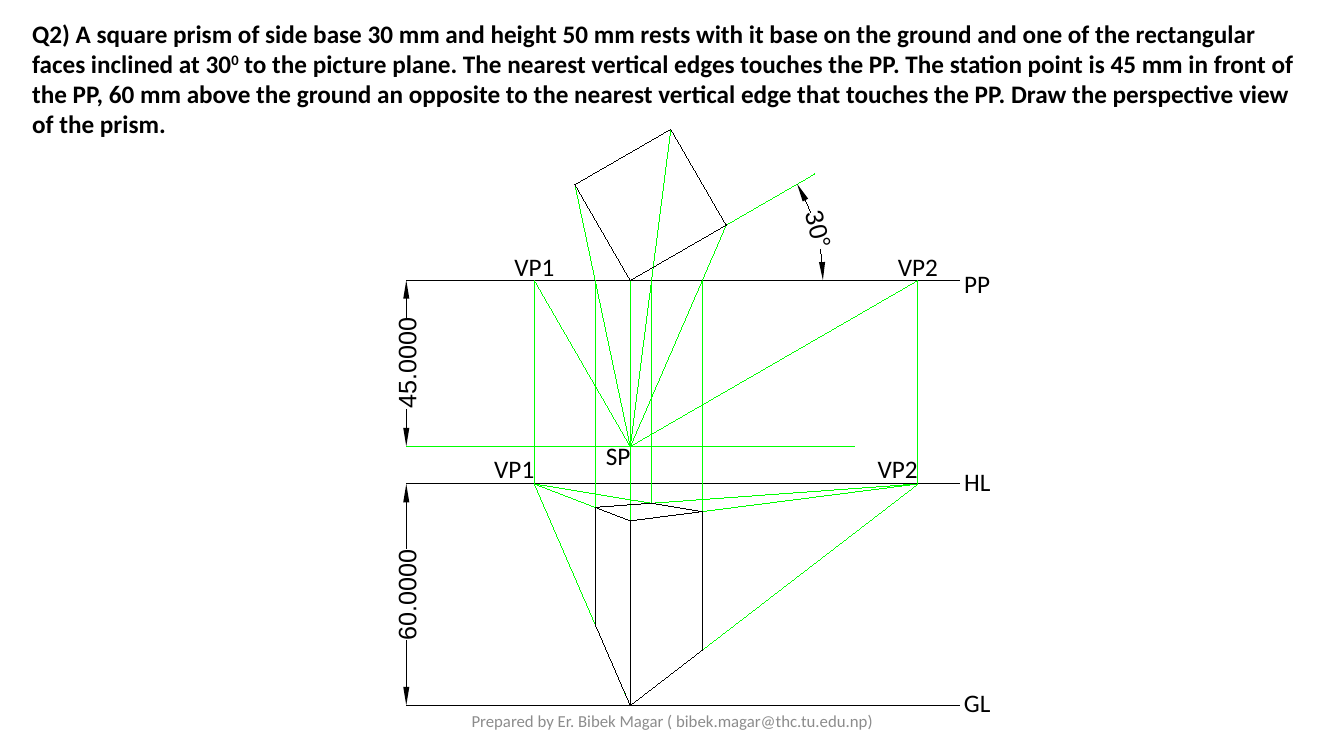
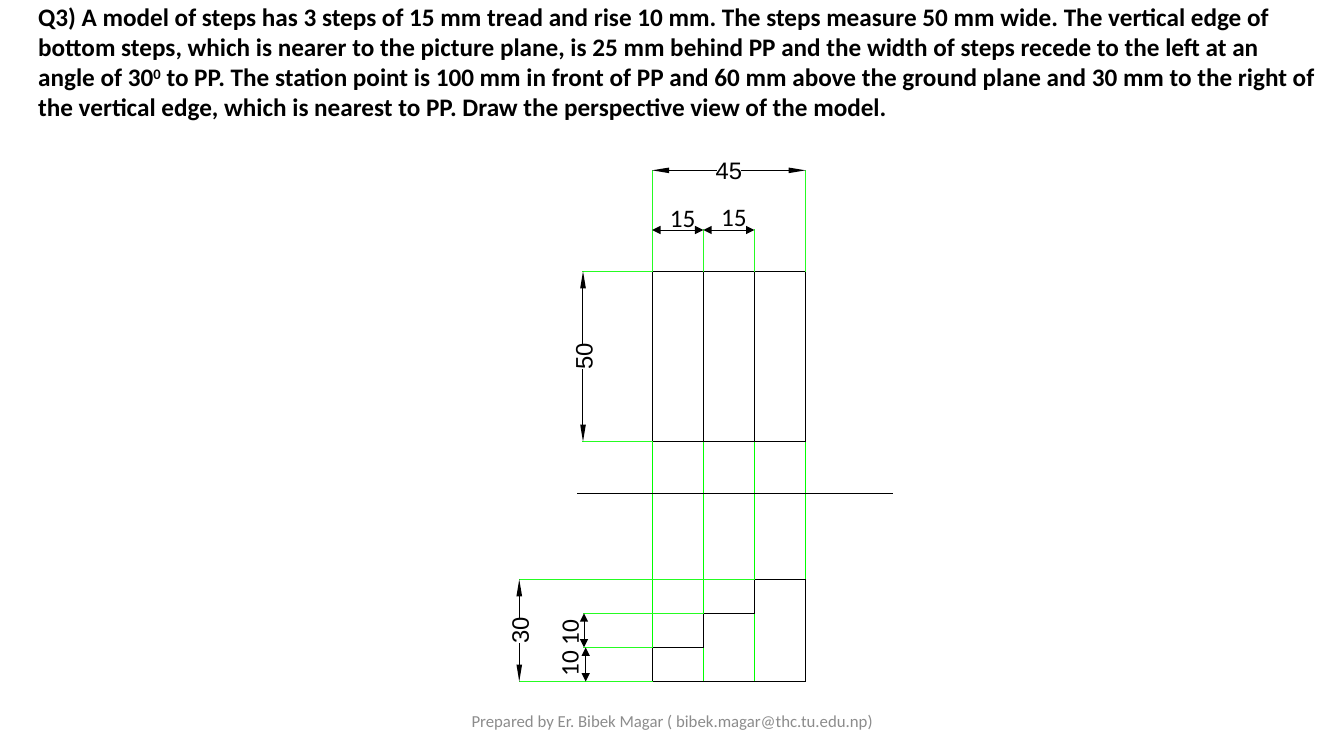
import math
from dataclasses import dataclass
from itertools import pairwise

from lxml import etree
from pptx import Presentation, util as u
from pptx.dml import color
from pptx.enum import shapes, text
from pptx.oxml import ns


@dataclass(frozen=True)
class Theme:
    ink: str = "000000"
    projector: str = "00FF00"
    extension: str = "25FC22"
    footer: str = "8C8C8C"
    body_font: str = "Calibri"
    dimension_font: str = "Arial"
    title_size: int = 18
    label_size: int = 18
    small_dimension_size: int = 17
    footer_size: int = 12
    arrow_length: float = 5
    arrow_half_width: float = 0.83


THEME = Theme()
FOOTER = "Prepared by Er. Bibek Magar ( bibek.magar@thc.tu.edu.np)"
PRISM_QUESTION = (
    "Q2) A square prism of side base 30 mm and height 50 mm rests with it base on the ground "
    "and one of the rectangular faces inclined at 30",
    " to the picture plane. The nearest vertical edges touches the PP. The station point is "
    "45 mm in front of the PP, 60 mm above the ground an opposite to the nearest vertical edge "
    "that touches the PP. Draw the perspective view of the prism.",
)
STEPS_QUESTION = (
    "Q3) A model of steps has 3 steps of 15 mm tread and rise 10 mm. The steps measure 50 mm "
    "wide. The vertical edge of bottom steps, which is nearer to the picture plane, is 25 mm "
    "behind PP and the width of steps recede to the left at an angle of 30",
    " to PP. The station point is 100 mm in front of PP and 60 mm above the ground plane and "
    "30 mm to the right of the vertical edge, which is nearest to PP. Draw the perspective "
    "view of the model.",
)


def rgb(code):
    return color.RGBColor.from_string(code)


def style(font, size, name=THEME.body_font, colour=THEME.ink, bold=False):
    font.size = u.Pt(size)
    font.name = name
    font.bold = bold
    font.color.rgb = rgb(colour)


def add_frame(slide, left, top, width, height, rotation=0):
    holder = slide.shapes.add_textbox(*map(u.Inches, (left, top, width, height)))
    holder.rotation = rotation
    holder.text_frame.word_wrap = True
    return holder.text_frame


def add_centred(slide, words, centre, extent, rotation=0, **looks):
    width, height = extent
    frame = add_frame(slide, centre[0] - width / 2, centre[1] - height / 2,
                      width, height, rotation)
    frame.text = words
    paragraph = frame.paragraphs[0]
    paragraph.alignment = text.PP_ALIGN.CENTER
    style(paragraph.runs[0].font, **looks)
    return frame


def add_question(slide, left, top, question):
    frame = add_frame(slide, left, top, 12.88, 1.31)
    before, after = question
    for words, baseline in ((before, 0), ("0", 30000), (after, 0)):
        run = frame.paragraphs[0].add_run()
        run.text = words
        style(run.font, THEME.title_size, bold=True)
        if baseline:
            run._r.get_or_add_rPr().set("baseline", str(baseline))


def add_footer(slide):
    frame = add_centred(slide, FOOTER, (6.67, 7.15), (4.5, 0.4),
                        size=THEME.footer_size, colour=THEME.footer)
    frame.vertical_anchor = text.MSO_ANCHOR.MIDDLE


class Drawing:
    def __init__(self, slide, left, top, width, span):
        self.slide = slide
        self.left, self.top = left, top
        self.scale = width / span

    def place(self, point):
        return self.left + point[0] * self.scale, self.top + point[1] * self.scale

    def emu(self, point):
        return [u.Inches(value) for value in self.place(point)]

    def line(self, start, end, colour=THEME.ink, arrows=False):
        connector = self.slide.shapes.add_connector(
            shapes.MSO_CONNECTOR.STRAIGHT, *self.emu(start), *self.emu(end))
        connector.line.color.rgb = rgb(colour)
        properties = connector._element.spPr
        stroke = properties.find(ns.qn("a:ln"))
        stroke.set("w", str(int(u.Pt(0.5))) if arrows else "0")
        if arrows:
            for side in ("a:headEnd", "a:tailEnd"):
                etree.SubElement(stroke, ns.qn(side), type="triangle")
        etree.SubElement(properties, ns.qn("a:effectLst"))

    def chain(self, points, colour=THEME.ink):
        for start, end in pairwise(points):
            self.line(start, end, colour)

    def arrowhead(self, tip, base):
        dx, dy = base[0] - tip[0], base[1] - tip[1]
        ratio = THEME.arrow_half_width / math.hypot(dx, dy)
        across = -dy * ratio, dx * ratio
        corners = [(base[0] + side * across[0], base[1] + side * across[1])
                   for side in (1, -1)]
        builder = self.slide.shapes.build_freeform(*self.emu(tip))
        builder.add_line_segments([self.emu(corner) for corner in corners], close=True)
        head = builder.convert_to_shape()
        head.fill.solid()
        head.fill.fore_color.rgb = rgb(THEME.ink)
        head.line.fill.background()
        head.shadow.inherit = False

    def measure(self, words, centre, size, rotation, width):
        frame = add_centred(self.slide, words, self.place(centre), (width, 0.34), rotation,
                            size=size, name=THEME.dimension_font)
        frame.margin_left = frame.margin_right = frame.margin_top = frame.margin_bottom = 0
        frame.vertical_anchor = text.MSO_ANCHOR.MIDDLE

    def dimension(self, words, start, end, gap, size, width):
        length = math.dist(start, end)

        def along(distance):
            return tuple(a + (b - a) * distance / length for a, b in zip(start, end))

        inset, half = THEME.arrow_length, (length - gap) / 2
        for tip, base, inner in ((start, along(inset), along(half)),
                                 (end, along(length - inset), along(length - half))):
            self.line(base, inner)
            self.arrowhead(tip, base)
        self.measure(words, along(length / 2), size, 270 if start[0] == end[0] else 0, width)

    def label(self, words, point, dx, dy, extent=(0.64, 0.41), rotation=0):
        x, y = self.place(point)
        add_centred(self.slide, words, (x + dx, y + dy), extent, rotation,
                    size=THEME.label_size)


def draw_prism(slide, left, top, width):
    drawing = Drawing(slide, left, top, width, span=150)
    side, height, station, eye = 30, 50, 45, 60
    turn = math.radians(30)
    axis, right_end = 60.7, 149.8
    picture, horizon = 41, 96.2
    ground = horizon + eye

    def plan(across, depth):
        return axis + across, picture - depth

    def view(corner, level):
        ratio = station / (station + corner[1])
        return axis + corner[0] * ratio, horizon + (eye - level) * ratio

    run, climb = side * math.cos(turn), side * math.sin(turn)
    near, right, far, rear_left = (0, 0), (run, climb), (run - climb, run + climb), (-climb, run)
    station_point = plan(0, -station)
    vanishing = -station * math.tan(turn), station / math.tan(turn)
    vp_plan = [plan(x, 0) for x in vanishing]
    vp_view = [(axis + x, horizon) for x in vanishing]
    base = {corner: view(corner, 0) for corner in (near, right, rear_left)}
    lid = {corner: view(corner, height) for corner in (near, right, rear_left, far)}

    for level in (picture, horizon, ground):
        drawing.line((0, level), (right_end, level))

    projectors = [
        ((0, station_point[1]), (121.5, station_point[1])),
        (plan(*near), plan(50, 50 * math.tan(turn))),
        (plan(*near), (axis, ground)),
    ]
    projectors += [(station_point, point) for point in vp_plan]
    projectors += [(station_point, plan(*corner)) for corner in (rear_left, far, right)]
    projectors += list(zip(vp_plan, vp_view))
    projectors += [(vp, point) for vp in vp_view for point in (base[near], lid[near])]
    projectors += [(vp_view[0], lid[right]), (vp_view[1], lid[rear_left])]
    projectors += [((foot[0], picture), foot)
                   for foot in (base[right], base[rear_left], lid[far])]
    for start, end in projectors:
        drawing.line(start, end, THEME.projector)

    drawing.chain([plan(*corner) for corner in (near, right, far, rear_left, near)])
    drawing.chain([lid[corner] for corner in (near, rear_left, far, right, near)])
    drawing.chain([lid[rear_left], base[rear_left], base[near], base[right], lid[right]])
    drawing.line(base[near], lid[near])

    def arc(degrees, radius=52.2):
        angle = math.radians(degrees)
        return plan(radius * math.cos(angle), radius * math.sin(angle))

    for tip, *bends in ((0, 5.4, 7.4, 9.3), (30, 24.6, 22.6, 20.7)):
        drawing.chain([arc(bend) for bend in bends])
        drawing.arrowhead(arc(tip), arc(bends[0]))
    drawing.measure("30°", arc(15, 53), THEME.label_size, 75, 0.52)

    for words, start, end in (("45.0000", picture, station_point[1]),
                              ("60.0000", horizon, ground)):
        drawing.dimension(words, (0, start), (0, end), 25, THEME.label_size, 1.07)

    for words, level, dy in (("PP", picture, 0.04), ("HL", horizon, -0.02),
                             ("GL", ground, -0.02)):
        drawing.label(words, (right_end, level), 0.18, dy)
    drawing.label("SP", station_point, -0.12, 0.1)
    for words, above, below in zip(("VP1", "VP2"), vp_plan, vp_view):
        drawing.label(words, above, 0, -0.13)
        drawing.label(words, below, -0.2, -0.15)


def draw_steps(slide, left, top, width):
    drawing = Drawing(slide, left, top, width, span=84)
    tread, rise, count = 15, 10, 3
    edges = [39 + tread * step for step in range(count + 1)]
    first, last = edges[0], edges[-1]
    back, front, picture, ground = 29.6, 79.6, 94.7, 150
    levels = [ground - rise * step for step in range(count + 1)]
    treads_y, width_x = 17.5, 18.7

    for x in edges:
        drawing.line((x, front), (x, ground), THEME.projector)
    for x in edges:
        drawing.line((x, front), (x, back))
    for y in (back, front, ground):
        drawing.line((first, y), (last, y))
    drawing.line((17.2, picture), (109.5, picture))

    profile = [(first, ground)]
    for start, end, level in zip(edges, edges[1:], levels[1:]):
        profile += [(start, level), (end, level)]
    drawing.chain(profile + [(last, ground)])

    extensions = [((first, y), (width_x, y)) for y in (back, front)]
    extensions += [((x, back), (x, 0)) for x in (first, last)]
    extensions += [((x, back), (x, treads_y)) for x in edges[1:-1]]
    extensions += [((edges[2], levels[3]), (0, levels[3])), ((first, ground), (0, ground))]
    extensions += [((x, y), (19, y)) for x, y in zip(edges, levels[1:-1])]
    for start, end in extensions:
        drawing.line(start, end, THEME.extension)

    for words, start, end in (("50", (width_x, back), (width_x, front)),
                              ("45", (first, 0), (last, 0)),
                              ("30", (0, levels[-1]), (0, ground))):
        drawing.dimension(words, start, end, 7.4, THEME.small_dimension_size, 0.39)

    for start, end, dy in zip(edges, edges[1:-1], (-0.12, -0.13)):
        drawing.line((start, treads_y), (end, treads_y), arrows=True)
        drawing.label("15", ((start + end) / 2, treads_y), 0.05, dy, (0.83, 0.4))
    for x, lower, upper, dx, dy in zip((19.5, 19), levels, levels[1:-1],
                                       (-0.17, -0.15), (-0.01, 0.02)):
        drawing.line((x, lower), (x, upper), arrows=True)
        drawing.label("10", (x, (lower + upper) / 2), dx, dy, (0.51, 0.4), 270)


def main():
    deck = Presentation()
    deck.slide_width, deck.slide_height = u.Inches(13.33), u.Inches(7.5)
    for question, corner, draw, box in (
            (PRISM_QUESTION, (0.22, 0.13), draw_prism, (4.03, 1.28, 5.49)),
            (STEPS_QUESTION, (0.28, -0.04), draw_steps, (5.15, 1.69, 2.84))):
        slide = deck.slides.add_slide(deck.slide_layouts[6])
        add_footer(slide)
        add_question(slide, *corner, question)
        draw(slide, *box)
    deck.save("out.pptx")


if __name__ == "__main__":
    main()
